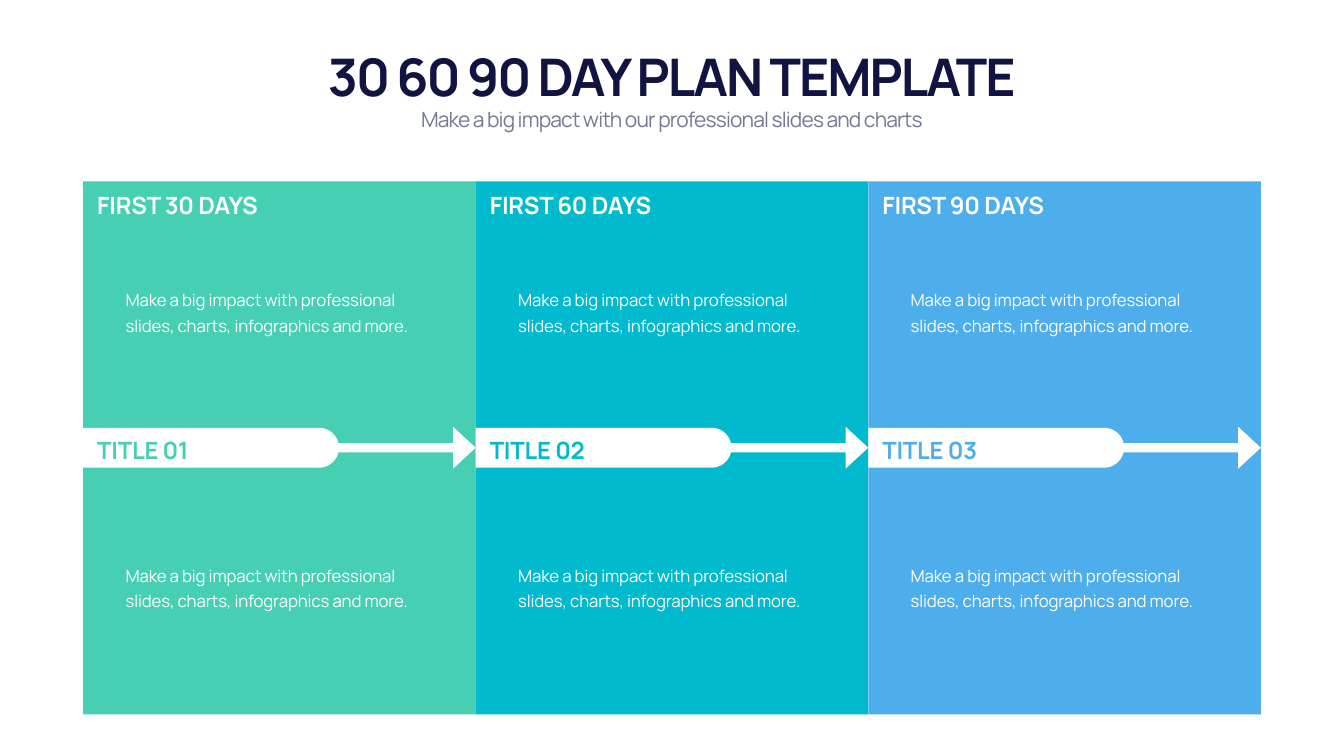
import math
from dataclasses import dataclass

import pptx
import pptx.dml.color
import pptx.enum.shapes
import pptx.enum.text
import pptx.util

Cm = pptx.util.Cm
Pt = pptx.util.Pt
Align = pptx.enum.text.PP_ALIGN
Anchor = pptx.enum.text.MSO_ANCHOR
Shape = pptx.enum.shapes.MSO_SHAPE


@dataclass(frozen=True)
class Theme:
    font: str = "Manrope"
    white: str = "FFFFFF"
    navy: str = "111340"
    grey: str = "747994"
    green: str = "46CFB2"
    teal: str = "01BACD"
    blue: str = "4EADEB"
    heading_size: int = 74
    subheading_size: int = 30
    label_size: int = 34
    body_size: int = 24
    body_leading: int = 36


@dataclass(frozen=True)
class Box:
    """Position and size in centimetres."""
    left: float
    top: float
    width: float
    height: float

    def lengths(self):
        return Cm(self.left), Cm(self.top), Cm(self.width), Cm(self.height)


@dataclass(frozen=True)
class Period:
    header: str
    title: str
    color: str


THEME = Theme()
PERIODS = [
    Period("FIRST 30 DAYS", "TITLE 01", THEME.green),
    Period("FIRST 60 DAYS", "TITLE 02", THEME.teal),
    Period("FIRST 90 DAYS", "TITLE 03", THEME.blue),
]
BODY = "Make a big impact with professional slides, charts, infographics and more."
BODY_TOPS = (14.25, 28.12)
FIRST_LEFT, COLUMN_WIDTH = 4.19, 19.78


def paint(shape, color: str) -> None:
    shape.shadow.inherit = False
    shape.fill.solid()
    shape.fill.fore_color.rgb = pptx.dml.color.RGBColor.from_string(color)
    shape.line.fill.background()


def add_text(slide, box: Box, text: str, *, size: int, color: str,
             bold: bool = False, spacing: float = 0, align=Align.LEFT,
             anchor=Anchor.TOP, leading: int | None = None) -> None:
    frame = slide.shapes.add_textbox(*box.lengths()).text_frame
    frame.word_wrap = True
    frame.auto_size = pptx.enum.text.MSO_AUTO_SIZE.SHAPE_TO_FIT_TEXT
    frame.vertical_anchor = anchor
    paragraph = frame.paragraphs[0]
    paragraph.alignment = align
    if leading:
        paragraph.line_spacing = Pt(leading)
    run = paragraph.add_run()
    run.text = text
    run.font.name = THEME.font
    run.font.size = Pt(size)
    run.font.bold = bold
    run.font.color.rgb = pptx.dml.color.RGBColor.from_string(color)
    run._r.get_or_add_rPr().set("spc", str(round(spacing * 100)))


def add_preset(slide, kind, box: Box, color: str):
    shape = slide.shapes.add_shape(kind, *box.lengths())
    paint(shape, color)
    return shape


def add_tab(slide, box: Box, color: str) -> None:
    """Bar with a square left end and a round right end."""
    radius = box.height / 2
    center_x, center_y = box.left + box.width - radius, box.top + radius
    arc = [(Cm(center_x + radius * math.cos(math.radians(angle))),
            Cm(center_y + radius * math.sin(math.radians(angle))))
           for angle in range(-90, 91, 5)]
    builder = slide.shapes.build_freeform(Cm(box.left), Cm(box.top))
    builder.add_line_segments(arc + [(Cm(box.left), Cm(box.top + box.height))])
    paint(builder.convert_to_shape(), color)


def add_period(slide, left: float, period: Period) -> None:
    # Panel with its timeline tab and arrow
    add_preset(slide, Shape.RECTANGLE,
               Box(left, 9.14, COLUMN_WIDTH, 26.87), period.color)
    add_tab(slide, Box(left, 21.56, 12.89, 2.01), THEME.white)
    arrow = add_preset(slide, Shape.RIGHT_ARROW,
                       Box(left + 9.67, 21.51, 10.11, 2.11), THEME.white)
    arrow.adjustments[0] = 0.22
    arrow.adjustments[1] = 0.54

    # Header, title and the two descriptions
    label = dict(size=THEME.label_size, bold=True, spacing=-0.3)
    add_text(slide, Box(left + 0.46, 9.5, 18.82, 1.7), period.header,
             color=THEME.white, **label)
    add_text(slide, Box(left + 0.46, 21.82, 11.63, 1.7), period.title,
             color=period.color, anchor=Anchor.MIDDLE, **label)
    for top in BODY_TOPS:
        add_text(slide, Box(left + 1.89, top, 16.05, 2.77), BODY,
                 size=THEME.body_size, color=THEME.white, spacing=-0.2,
                 anchor=Anchor.MIDDLE, leading=THEME.body_leading)


def main() -> None:
    deck = pptx.Presentation()
    deck.slide_width, deck.slide_height = Cm(67.72), Cm(38.1)
    slide = deck.slides.add_slide(deck.slide_layouts[6])

    # Heading
    add_text(slide, Box(4.22, 2.08, 59.26, 3.43), "30 60 90 DAY PLAN TEMPLATE",
             size=THEME.heading_size, color=THEME.navy, bold=True,
             spacing=-2.9, align=Align.CENTER, anchor=Anchor.BOTTOM)
    add_text(slide, Box(4.22, 5.26, 59.26, 1.55),
             "Make a big impact with our professional slides and charts",
             size=THEME.subheading_size, color=THEME.grey,
             spacing=-1.2, align=Align.CENTER)

    # Columns
    for index, period in enumerate(PERIODS):
        add_period(slide, FIRST_LEFT + index * COLUMN_WIDTH, period)

    deck.save("out.pptx")


if __name__ == "__main__":
    main()
